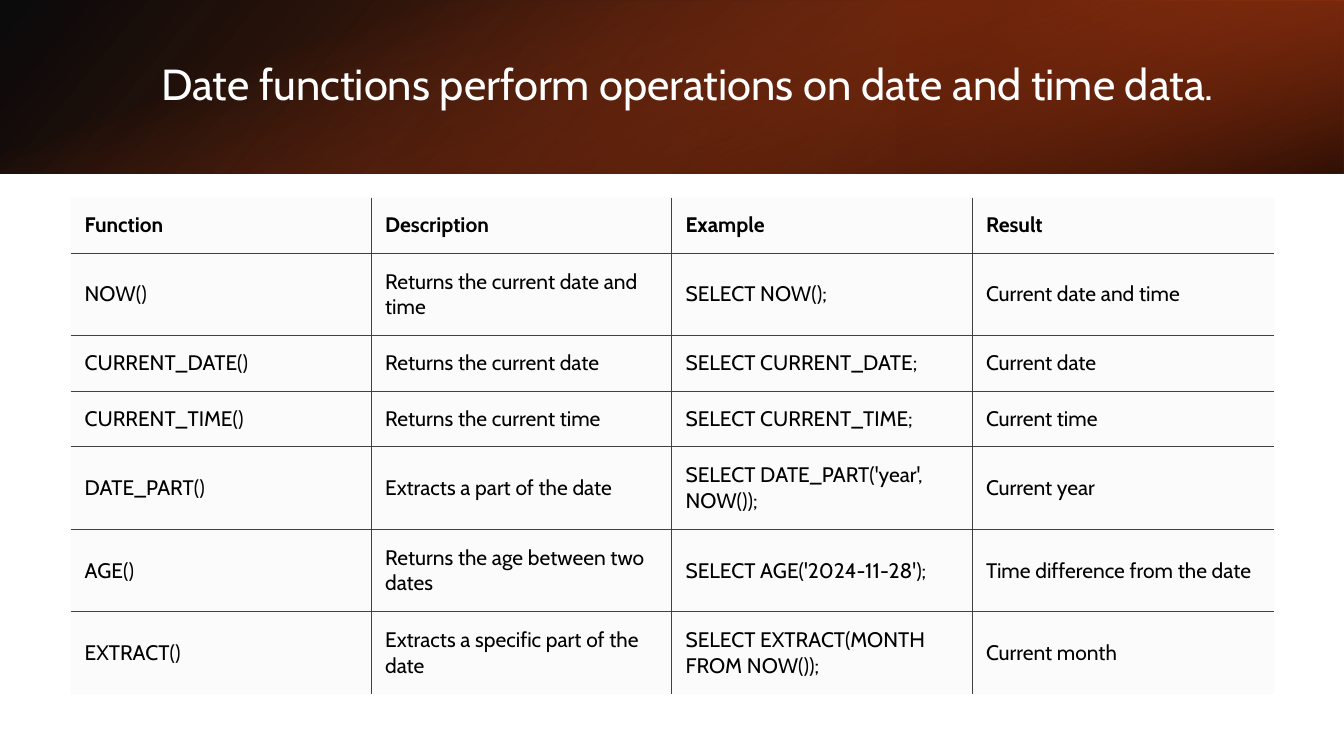
"""Build a slide that lists the SQL date functions in a table."""
from dataclasses import dataclass

from pptx import Presentation
from pptx.dml.color import RGBColor
from pptx.enum.shapes import MSO_SHAPE
from pptx.enum.text import MSO_ANCHOR, MSO_AUTO_SIZE, PP_ALIGN
from pptx.oxml import parse_xml
from pptx.oxml.ns import nsdecls, qn
from pptx.util import Inches, Pt

TITLE = "Date functions perform operations on date and time data."
ROWS = [
    ("Function", "Description", "Example", "Result"),
    ("NOW()", "Returns the current date and time", "SELECT NOW();", "Current date and time"),
    ("CURRENT_DATE()", "Returns the current date", "SELECT CURRENT_DATE;", "Current date"),
    ("CURRENT_TIME()", "Returns the current time", "SELECT CURRENT_TIME;", "Current time"),
    ("DATE_PART()", "Extracts a part of the date", "SELECT DATE_PART('year', NOW());", "Current year"),
    ("AGE()", "Returns the age between two dates", "SELECT AGE('2024-11-28');",
     "Time difference from the date"),
    ("EXTRACT()", "Extracts a specific part of the date", "SELECT EXTRACT(MONTH FROM NOW());",
     "Current month"),
]
COL_WIDTHS = (2.98, 2.98, 2.98, 3)
ROW_HEIGHTS = (0.55, 0.82, 0.55, 0.55, 0.82, 0.82, 0.82)


@dataclass(frozen=True)
class Theme:
    """Colours, font and type sizes."""
    font: str = "Cabin"
    title_size: float = 31
    cell_size: float = 15
    title: str = "FFFFFF"
    text: str = "000000"
    cell: str = "F2F2F2"
    rule: str = "404040"
    rule_width: float = 0.5
    black: str = "000000"
    rust: str = "9E3611"
    brown: str = "69240C"
    orange: str = "D34817"


T = Theme()
BANNER = [
    dict(box=(0, 0, 13.33, 1.72), flip=True, angle=140,
         stops=[(0, T.black, 96), (100, T.rust, 100)]),
    dict(box=(8.89, 0, 4.44, 1.72), rot=180, flip=True, angle=320,
         stops=[(19, T.brown, 68), (100, T.orange, 79)]),
    dict(box=(5.8, -5.8, 1.72, 13.33), rot=90, angle=340,
         stops=[(23, T.orange, 0), (99, T.black, 74)]),
]


def colour_xml(colour, alpha):
    """Return a colour element with opacity in percent."""
    return f'<a:srgbClr val="{colour}"><a:alpha val="{alpha * 1000}"/></a:srgbClr>'


def write(tf, text, size=T.cell_size, colour=T.text, bold=False, spacing=1.0):
    """Put one formatted run of text in a text frame."""
    p = tf.paragraphs[0]
    p.alignment = PP_ALIGN.LEFT
    p.line_spacing = spacing
    r = p.add_run()
    r.text = text
    r.font.name, r.font.size, r.font.bold = T.font, Pt(size), bold
    r.font.color.rgb = RGBColor.from_string(colour)


def add_band(s, box, stops, angle, rot=0, flip=False):
    """Add one gradient layer of the banner."""
    sp = s.shapes.add_shape(MSO_SHAPE.RECTANGLE, *map(Inches, box))
    sp.shadow.inherit = False
    sp.line.fill.background()
    sp.rotation = rot
    sp.fill.gradient()
    props = sp.element.spPr
    if flip:
        props.find(qn("a:xfrm")).set("flipH", "1")
    marks = "".join(f'<a:gs pos="{pos * 1000}">{colour_xml(colour, alpha)}</a:gs>'
                    for pos, colour, alpha in stops)
    props.replace(props.find(qn("a:gradFill")), parse_xml(
        f'<a:gradFill {nsdecls("a")} rotWithShape="1"><a:gsLst>{marks}</a:gsLst>'
        f'<a:lin ang="{angle * 60000}" scaled="0"/></a:gradFill>'))


def add_title(s):
    """Place the title over the banner."""
    sp = s.shapes.title
    sp.element.getparent().append(sp.element)
    sp.left, sp.top, sp.width, sp.height = map(Inches, (1.5, 0.38, 10.98, 0.96))
    tf = sp.text_frame
    tf.word_wrap, tf.auto_size = True, MSO_AUTO_SIZE.NONE
    tf.vertical_anchor = MSO_ANCHOR.MIDDLE
    write(tf, TITLE, size=T.title_size, colour=T.title, spacing=0.9)


def style_cell(cell, inner):
    """Fill a cell and rule only the sides that are inside the table."""
    cell.vertical_anchor = MSO_ANCHOR.MIDDLE
    cell.margin_left, cell.margin_right = Inches(0.14), Inches(0.1)
    cell.margin_top = cell.margin_bottom = Inches(0.11)
    props = cell._tc.get_or_add_tcPr()
    for side in "LRTB":
        fill = (f"<a:solidFill>{colour_xml(T.rule, 100)}</a:solidFill>"
                if inner[side] else "<a:noFill/>")
        props.append(parse_xml(
            f'<a:ln{side} {nsdecls("a")} w="{Pt(T.rule_width)}">{fill}</a:ln{side}>'))
    props.append(parse_xml(
        f'<a:solidFill {nsdecls("a")}>{colour_xml(T.cell, 30)}</a:solidFill>'))


def add_functions(s):
    """Add the table of functions."""
    last_row, last_col = len(ROWS) - 1, len(COL_WIDTHS) - 1
    box = (0.7, 1.96, sum(COL_WIDTHS), sum(ROW_HEIGHTS))
    tbl = s.shapes.add_table(last_row + 1, last_col + 1, *map(Inches, box)).table
    tbl.horz_banding = False
    for col, width in zip(tbl.columns, COL_WIDTHS):
        col.width = Inches(width)
    for i, (height, texts) in enumerate(zip(ROW_HEIGHTS, ROWS)):
        tbl.rows[i].height = Inches(height)
        for j, text in enumerate(texts):
            cell = tbl.cell(i, j)
            style_cell(cell, {"L": j > 0, "R": j < last_col, "T": i > 0, "B": i < last_row})
            write(cell.text_frame, text, bold=i == 0)


def main():
    """Build and save the slide."""
    prs = Presentation()
    prs.slide_width, prs.slide_height = Inches(13.33), Inches(7.5)
    s = prs.slides.add_slide(prs.slide_layouts[5])
    for band in BANNER:
        add_band(s, **band)
    add_title(s)
    add_functions(s)
    prs.save("out.pptx")


if __name__ == "__main__":
    main()
